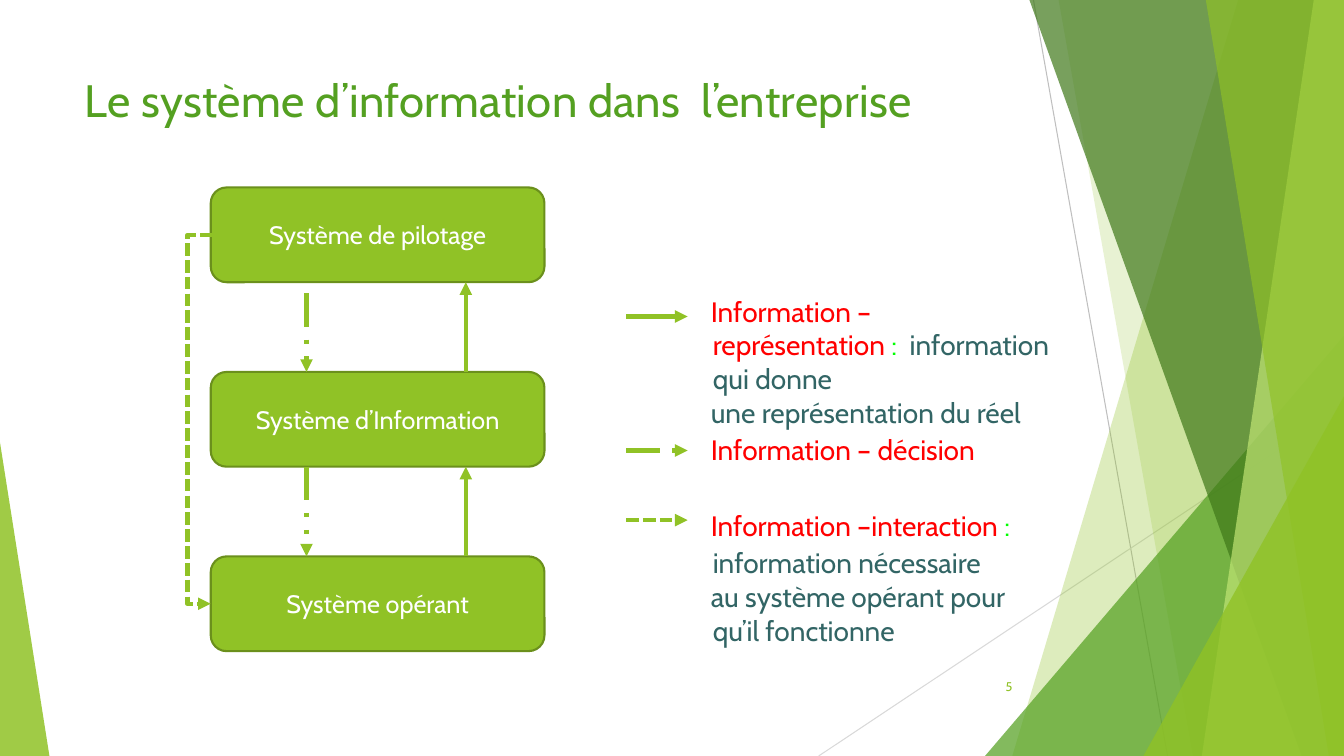
from dataclasses import dataclass
from lxml.etree import SubElement
from pptx import Presentation
from pptx.dml.color import RGBColor
from pptx.enum.dml import MSO_LINE
from pptx.enum.shapes import MSO_CONNECTOR, MSO_SHAPE
from pptx.enum.text import MSO_ANCHOR, PP_ALIGN
from pptx.oxml.ns import qn
from pptx.util import Pt


@dataclass(frozen=True)
class Theme:
    font: str = "Cabin"
    lime: str = "90C226"
    leaf: str = "54A021"
    moss: str = "3F7819"
    pale: str = "C0E474"
    edge: str = "6B901C"
    white: str = "FFFFFF"
    red: str = "FF0000"
    neon: str = "00FF00"
    teal: str = "326565"
    gray: str = "BFBFBF"
    mist: str = "D9D9D9"
    head: float = 32.4
    body: int = 20
    label: int = 18
    small: int = 9


look = Theme()
SCALE = 9144
WIDE, HIGH = 1333, 750

TITLE = "Le système d’information dans  l’entreprise"
NUMBER = "5"
BOXES = ["Système de pilotage", "Système d’Information", "Système opérant"]
LEGEND = [
    (1, 1, [("Information – représentation ", look.red), (":  ", look.neon),
            ("information qui donne", look.teal)]),
    (0, 1, [("une représentation du réel", look.teal)]),
    (3, 1, [("Information – décision", look.red)]),
    (27, 1.11, [("Information –interaction ", look.red), (":  ", look.neon),
                ("information nécessaire", look.teal)]),
    (0.4, 1, [("au système opérant pour qu’il fonctionne", look.teal)]),
]
KEYS = [(314, None), (447, MSO_LINE.DASH_DOT_DOT), (516, MSO_LINE.SQUARE_DOT)]
RAYS = [((1025, 0), (1158, HIGH), look.gray), ((WIDE, 403), (812, HIGH), look.mist)]
SHARDS = [
    ("band", (1228, 1004), look.lime, 30),
    ("band", (1050, 1183), look.lime, 20),
    ("peak", (977, 333, 356, 417, 1), look.leaf, 72),
    ("band", (1021, 1291), look.moss, 70),
    ("band", (1303, 1192), look.pale, 70),
    ("band", (1196, 1318), look.lime, 65),
    ("peak", (1134, 393, 199, 357, 1), look.lime, 80),
    ("peak", (0, 439, 49, 311, 0), look.lime, 85),
]

LEFT, TOP, WIDTH, HEIGHT, STEP = 209, 186, 331, 94, 183
DOWN, UP = 304, 462

deck = Presentation()
deck.slide_width, deck.slide_height = WIDE * SCALE, HIGH * SCALE
slide = deck.slides.add_slide(deck.slide_layouts[6])
shapes = slide.shapes


def emu(*nums):
    return [num * SCALE for num in nums]


def tint(name):
    return RGBColor.from_string(name)


def paint(shape, color, alpha=100, edge=None):
    shape.shadow.inherit = False
    shape.fill.solid()
    shape.fill.fore_color.rgb = tint(color)
    if alpha < 100:
        node = shape.fill._xPr.find(qn("a:solidFill"))[0]
        SubElement(node, qn("a:alpha")).set("val", str(alpha * 1000))
    if edge:
        shape.line.color.rgb = tint(edge)
        shape.line.width = Pt(1.5)
    else:
        shape.line.fill.background()


def write(frame, paras, size, align=PP_ALIGN.LEFT, anchor=MSO_ANCHOR.TOP,
          inset=None, hang=0, track=0):
    frame.word_wrap = True
    frame.vertical_anchor = anchor
    if inset:
        (frame.margin_left, frame.margin_top,
         frame.margin_right, frame.margin_bottom) = emu(*inset)
    for spot, (before, pitch, runs) in enumerate(paras):
        para = frame.add_paragraph() if spot else frame.paragraphs[0]
        para.alignment = align
        para.space_before = Pt(before)
        para.line_spacing = pitch
        if hang:
            props = para._p.get_or_add_pPr()
            props.set("marL", str(hang * SCALE))
            props.set("indent", str(-hang * SCALE))
        for words, color in runs:
            run = para.add_run()
            run.text = words
            run.font.name = look.font
            run.font.size = Pt(size)
            run.font.color.rgb = tint(color)
            if track:
                run.font._element.set("spc", str(track))


def label(box, words, color, size, **form):
    area = shapes.add_textbox(*emu(*box))
    write(area.text_frame, [(0, 1, [(words, color)])], size, **form)


def link(start, end, color=look.lime, width=3, dash=None, tip=True,
         kind=MSO_CONNECTOR.STRAIGHT):
    line = shapes.add_connector(kind, *emu(*start, *end))
    line.line.color.rgb = tint(color)
    line.line.width = Pt(width)
    if dash:
        line.line.dash_style = dash
    if tip:
        SubElement(line.line._get_or_add_ln(), qn("a:tailEnd")).set("type", "triangle")
    SubElement(line._element.spPr, qn("a:effectLst"))
    return line


def band(top, foot):
    pen = shapes.build_freeform(top, 0, scale=SCALE)
    pen.add_line_segments([(WIDE, 0), (WIDE, HIGH), (foot, HIGH)], close=True)
    return pen.convert_to_shape()


def peak(left, top, width, height, apex):
    shape = shapes.add_shape(MSO_SHAPE.ISOSCELES_TRIANGLE, *emu(left, top, width, height))
    shape.adjustments[0] = apex
    return shape


for start, end, color in RAYS:
    link(start, end, color, 0.75, tip=False)
for kind, spot, color, alpha in SHARDS:
    paint((band if kind == "band" else peak)(*spot), color, alpha)

label((74, 67, 940, 97), TITLE, look.leaf, look.head, track=25)
label((939, 661, 75, 40), NUMBER, look.lime, look.small,
      align=PP_ALIGN.RIGHT, anchor=MSO_ANCHOR.MIDDLE)

tops = [TOP + STEP * row for row in range(len(BOXES))]
for top, words in zip(tops, BOXES):
    box = shapes.add_shape(MSO_SHAPE.ROUNDED_RECTANGLE, *emu(LEFT, top, WIDTH, HEIGHT))
    paint(box, look.lime, edge=look.edge)
    write(box.text_frame, [(0, 1, [(words, look.white)])], look.label,
          align=PP_ALIGN.CENTER, anchor=MSO_ANCHOR.MIDDLE)

for above, below, gap in zip(tops, tops[1:], (11, 0)):
    link((UP, below), (UP, above + HEIGHT))
    link((DOWN, above + HEIGHT + gap), (DOWN, below), dash=MSO_LINE.DASH_DOT_DOT)

mid = HEIGHT // 2
loop = link((LEFT + 2, tops[0] + mid), (LEFT, tops[-1] + mid),
            dash=MSO_LINE.SQUARE_DOT, kind=MSO_CONNECTOR.ELBOW)
guides = loop._element.spPr.find(qn("a:prstGeom")).get_or_add_avLst()
guide = SubElement(guides, qn("a:gd"))
guide.set("name", "adj1")
guide.set("fmla", "val 1250000")

for row, dash in KEYS:
    link((621, row), (682, row), dash=dash)
notes = shapes.add_textbox(*emu(705, 291, 344, 354))
write(notes.text_frame, LEGEND, look.body, inset=(0, 1, 0, 0), hang=2)

deck.save("out.pptx")
